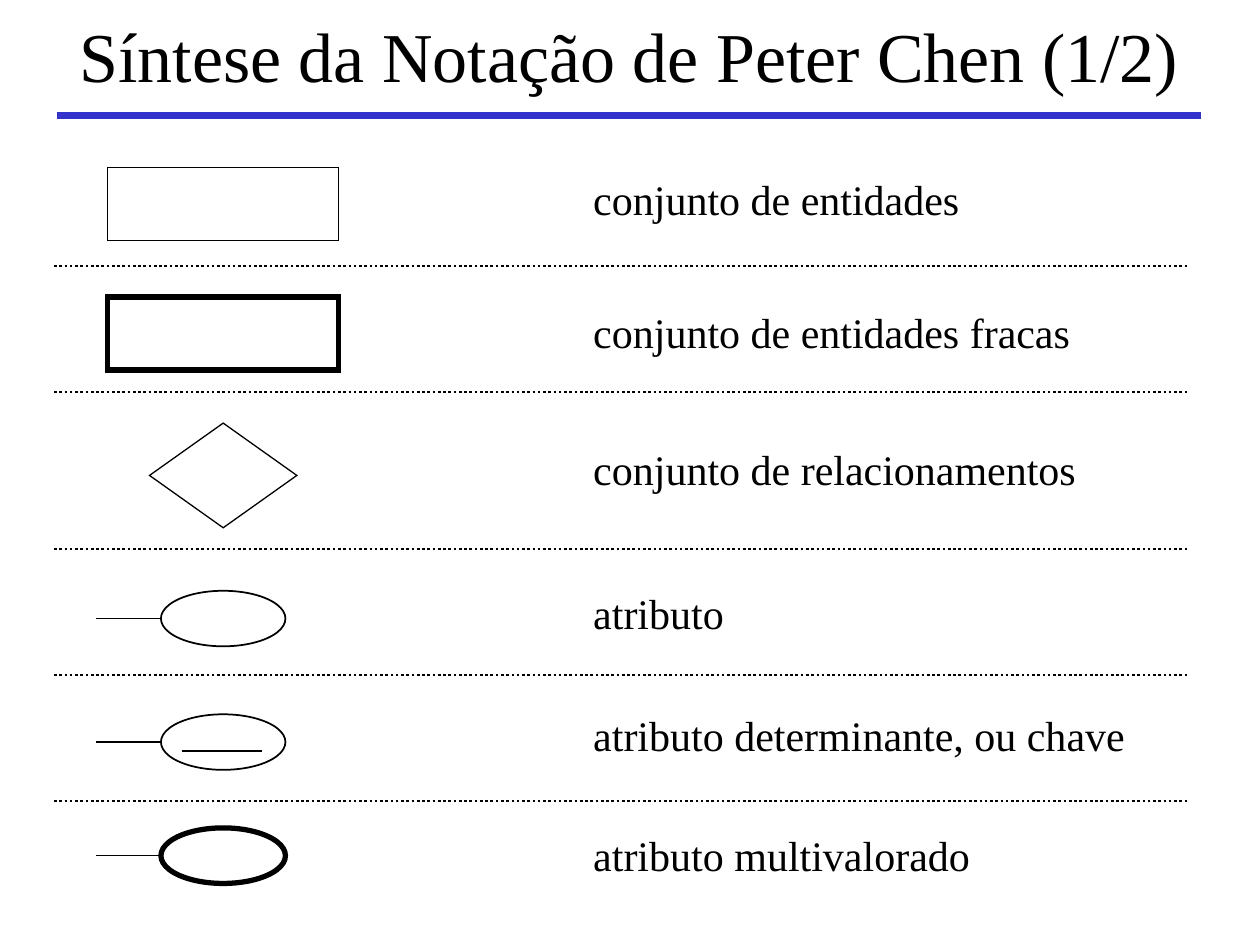
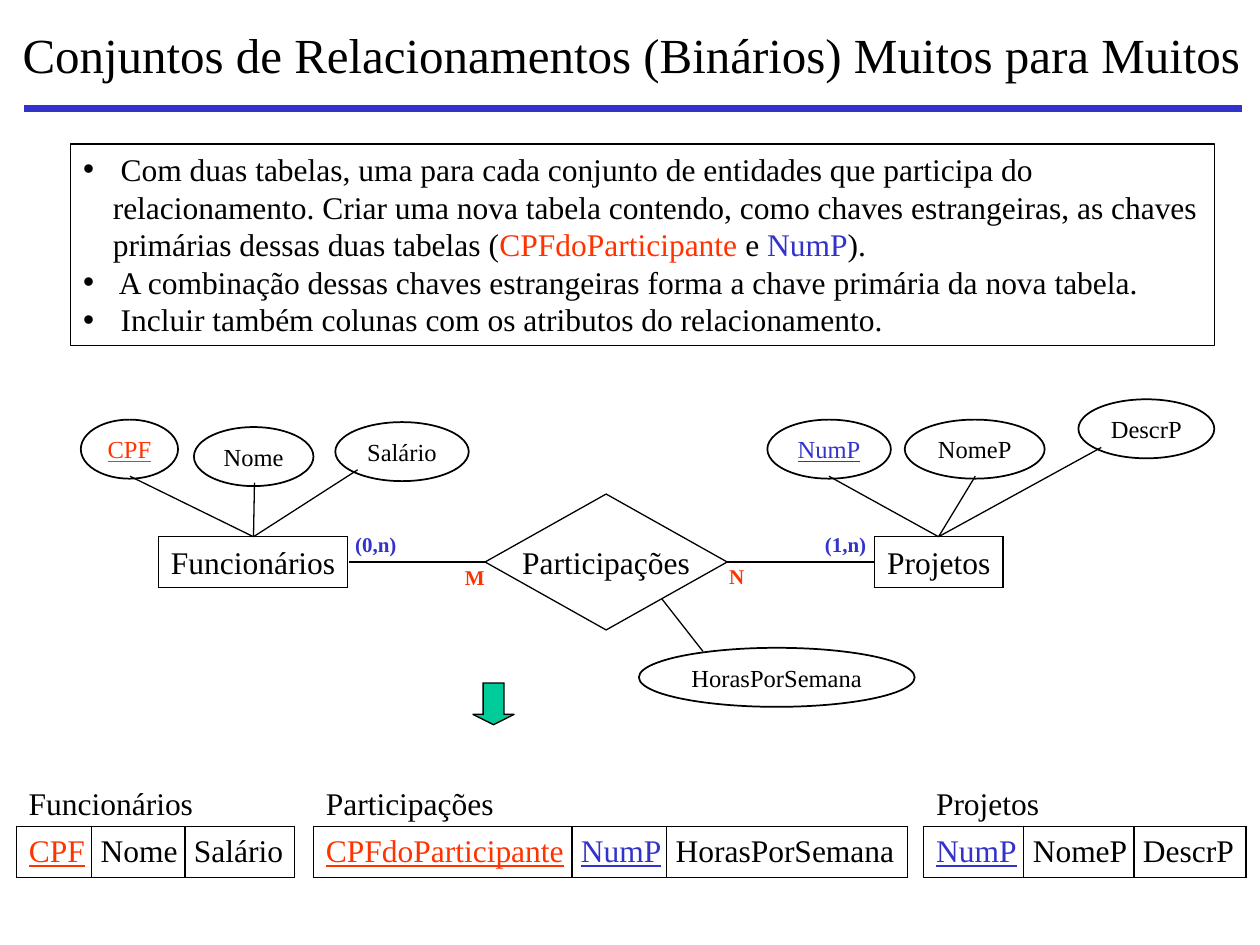
from lxml import etree
from pptx import Presentation
from pptx.dml.color import RGBColor
from pptx.enum.dml import MSO_LINE
from pptx.enum.shapes import MSO_CONNECTOR, MSO_SHAPE
from pptx.enum.text import MSO_ANCHOR, MSO_AUTO_SIZE, PP_ALIGN
from pptx.oxml.ns import qn
from pptx.util import Cm, Pt

FONT = "Times New Roman"
COLORS = {"black": "000000", "blue": "3333CC", "red": "FF3300", "green": "00CC99"}
RGB = {name: RGBColor.from_string(value) for name, value in COLORS.items()}


def add_line(slide, x1, y1, x2, y2, weight=0.75, color="black"):
    line = slide.shapes.add_connector(
        MSO_CONNECTOR.STRAIGHT, Cm(x1), Cm(y1), Cm(x2), Cm(y2))
    line.line.color.rgb = RGB[color]
    line.line.width = Pt(weight)
    etree.SubElement(line._element.spPr, qn("a:effectLst"))
    return line


def add_box(slide, kind, x, y, w, h, text="", size=18, color="black",
            underline=False, bold=False, weight=0.75):
    """Add an unfilled outlined shape, or a plain text box when kind is None."""
    place = Cm(x), Cm(y), Cm(w), Cm(h)
    if kind is None:
        sp = slide.shapes.add_textbox(*place)
    else:
        sp = slide.shapes.add_shape(kind, *place)
        sp.shadow.inherit = False
        sp.fill.background()
        sp.line.color.rgb = RGB["black"]
        sp.line.width = Pt(weight)
        outline = sp._element.spPr.find(qn("a:ln"))
        etree.SubElement(outline, qn("a:miter"), lim="800000")
    if text:
        tf = sp.text_frame
        tf.text = text
        tf.word_wrap = False
        tf.vertical_anchor = MSO_ANCHOR.MIDDLE
        p = tf.paragraphs[0]
        p.alignment = PP_ALIGN.LEFT if kind is None else PP_ALIGN.CENTER
        font = p.runs[0].font
        font.name, font.size, font.color.rgb = FONT, Pt(size), RGB[color]
        font.bold, font.underline = bold, underline
    return sp


prs = Presentation()
prs.slide_width, prs.slide_height = Cm(25.4), Cm(19.05)

# Titles and rules: layout, text, size, left, width, rule start, rule end, rule y
headings = [
    (5, "Síntese da Notação de Peter Chen (1/2)", 40, 1.35, 22.8, 1.14, 24.21, 2.32),
    (1, "Conjuntos de Relacionamentos (Binários) Muitos para Muitos", 28,
     0.2, 25.15, 0.48, 25.04, 2.18),
]
for layout, text, size, x, w, start, end, y in headings:
    slide = prs.slides.add_slide(prs.slide_layouts[layout])
    title = slide.shapes.title
    title.left, title.top, title.width, title.height = Cm(x), Cm(0.28), Cm(w), Cm(1.63)
    tf = title.text_frame
    tf.text = text
    tf.auto_size = MSO_AUTO_SIZE.NONE
    tf.vertical_anchor = MSO_ANCHOR.MIDDLE
    p = tf.paragraphs[0]
    p.alignment = PP_ALIGN.LEFT
    font = p.runs[0].font
    font.name, font.size, font.color.rgb = FONT, Pt(size), RGB["black"]
    add_line(slide, start, y, end, y, 4, "blue")
notation, many_to_many = prs.slides

# Slide 1: each symbol with its meaning
RECT, OVAL, DIAMOND = MSO_SHAPE.RECTANGLE, MSO_SHAPE.OVAL, MSO_SHAPE.FLOWCHART_DECISION
SYMBOL_CENTER = 4.5
symbols = [
    (RECT, 3.38, 4.65, 1.47, 0.75, "conjunto de entidades", 3.38, 8.2),
    (RECT, 5.99, 4.65, 1.47, 3, "conjunto de entidades fracas", 6.05, 10.5),
    (DIAMOND, 8.53, 2.97, 2.11, 0.75, "conjunto de relacionamentos", 8.81, 10.6),
    (OVAL, 11.91, 2.51, 1.12, 1, "atributo", 11.71, 3.5),
    (OVAL, 14.4, 2.51, 1.12, 1, "atributo determinante, ou chave", 14.17, 11.6),
    (OVAL, 16.69, 2.51, 1.12, 3, "atributo multivalorado", 16.59, 8.5),
]
for kind, y, w, h, weight, meaning, meaning_y, meaning_w in symbols:
    x = SYMBOL_CENTER - w / 2
    add_box(notation, kind, x, y, w, h, weight=weight)
    add_box(notation, None, 11.71, meaning_y, meaning_w, 1.27, meaning, 24)
    if kind == OVAL:
        add_line(notation, 1.93, y + h / 2, x, y + h / 2)
add_line(notation, 3.66, 15.14, 5.28, 15.14)
for y in (5.36, 7.9, 11.07, 13.61, 16.15):
    add_line(notation, 1.09, y, 23.95, y, 1.5).line.dash_style = MSO_LINE.ROUND_DOT

# Slide 2: mapping rules
rules = [
    [(" Com duas tabelas, uma para cada conjunto de entidades que participa do "
      "relacionamento. Criar uma nova tabela contendo, como chaves estrangeiras, "
      "as chaves primárias dessas duas tabelas (", "black"),
     ("CPFdoParticipante", "red"), (" e ", "black"), ("NumP", "blue"), (").", "black")],
    [(" A combinação dessas chaves estrangeiras forma a chave primária da nova tabela.",
      "black")],
    [(" Incluir também colunas com os atributos do relacionamento.", "black")],
]
body = many_to_many.placeholders[1]
body.left, body.top, body.width, body.height = Cm(1.42), Cm(2.9), Cm(23.06), Cm(4.06)
body.line.color.rgb = RGB["black"]
body.line.width = Pt(0.75)
tf = body.text_frame
tf.auto_size = MSO_AUTO_SIZE.NONE
for i, rule in enumerate(rules):
    p = tf.add_paragraph() if i else tf.paragraphs[0]
    pPr = p._p.get_or_add_pPr()
    pPr.set("marL", str(Cm(0.6)))
    pPr.set("indent", str(-Cm(0.6)))
    p.space_before = Pt(0)
    p.line_spacing = Pt(21.5)
    for text, color in rule:
        r = p.add_run()
        r.text = text
        r.font.name, r.font.size, r.font.color.rgb = FONT, Pt(18), RGB[color]

# Slide 2: entity-relationship diagram
add_box(many_to_many, DIAMOND, 9.78, 9.96, 4.88, 2.74, "Participações")
for name, x, w in [("Funcionários", 3.2, 3.81), ("Projetos", 17.63, 2.59)]:
    add_box(many_to_many, RECT, x, 10.82, w, 1.02, name)
for start, end in [(7.04, 9.78), (14.66, 17.61)]:
    add_line(many_to_many, start, 11.33, end, 11.33)

employee, project, participation = (5.11, 10.82), (18.92, 10.82), (13.34, 12.07)
attributes = [
    ("CPF", 1.63, 8.46, 1.96, "red", (2.62, 9.6), employee),
    ("Nome", 3.91, 8.61, 2.41, "black", (5.13, 9.73), employee),
    ("Salário", 6.76, 8.51, 2.69, "black", (7.21, 9.47), employee),
    ("NumP", 15.47, 8.46, 2.49, "blue", (16.71, 9.6), project),
    ("NomeP", 18.24, 8.46, 2.82, "black", (19.66, 9.6), project),
    ("DescrP", 21.74, 8.05, 2.74, "black", (22.2, 9.02), project),
    ("HorasPorSemana", 12.88, 13.06, 5.56, "black", (14.17, 13.13), participation),
]
for name, x, y, w, color, tip, owner in attributes:
    add_box(many_to_many, OVAL, x, y, w, 1.19, name, 14, color,
            underline=color != "black", weight=1)
    add_line(many_to_many, *tip, *owner)

cardinalities = [
    ("M", 9.12, 11.25, 1, "red"), ("N", 14.45, 11.23, 1, "red"),
    ("(0,n)", 6.91, 10.59, 1.5, "blue"), ("(1,n)", 16.38, 10.59, 1.5, "blue"),
]
for text, x, y, w, color in cardinalities:
    add_box(many_to_many, None, x, y, w, 0.76, text, 12, color, bold=True)

arrow = add_box(many_to_many, MSO_SHAPE.DOWN_ARROW, 9.53, 13.77, 0.84, 0.84)
arrow.adjustments[0], arrow.adjustments[1] = 0.5, 0.25
arrow.fill.solid()
arrow.fill.fore_color.rgb = RGB["green"]

# Slide 2: resulting tables, with keys coloured and underlined
tables = [
    ("Funcionários", 0.33, 4.2,
     [("CPF", 1.52, "red"), ("Nome", 1.88, "black"), ("Salário", 2.21, "black")]),
    ("Participações", 6.32, 4.2,
     [("CPFdoParticipante", 5.21, "red"), ("NumP", 1.91, "blue"),
      ("HorasPorSemana", 4.85, "black")]),
    ("Projetos", 18.62, 3,
     [("NumP", 2.02, "blue"), ("NomeP", 2.22, "black"), ("DescrP", 2.26, "black")]),
]
for name, x, name_w, columns in tables:
    add_box(many_to_many, None, x, 15.67, name_w, 1.02, name)
    total = sum(w for _, w, _ in columns)
    table = many_to_many.shapes.add_table(
        1, len(columns), Cm(x), Cm(16.66), Cm(total), Cm(1.03)).table
    table.first_row = table.horz_banding = False
    for i, (text, w, color) in enumerate(columns):
        table.columns[i].width = Cm(w)
        cell = table.cell(0, i)
        cell.text = text
        cell.margin_left, cell.margin_right = Cm(0.18 if i else 0.25), 0
        cell.vertical_anchor = MSO_ANCHOR.MIDDLE
        font = cell.text_frame.paragraphs[0].runs[0].font
        font.name, font.size, font.color.rgb = FONT, Pt(18), RGB[color]
        font.underline = color != "black"
        tcPr = cell._tc.get_or_add_tcPr()
        for side in ("lnL", "lnR", "lnT", "lnB"):
            border = etree.SubElement(tcPr, qn(f"a:{side}"), w=str(Pt(0.75)))
            fill = etree.SubElement(border, qn("a:solidFill"))
            etree.SubElement(fill, qn("a:srgbClr"), val=COLORS["black"])
        cell.fill.background()

prs.save("out.pptx")
